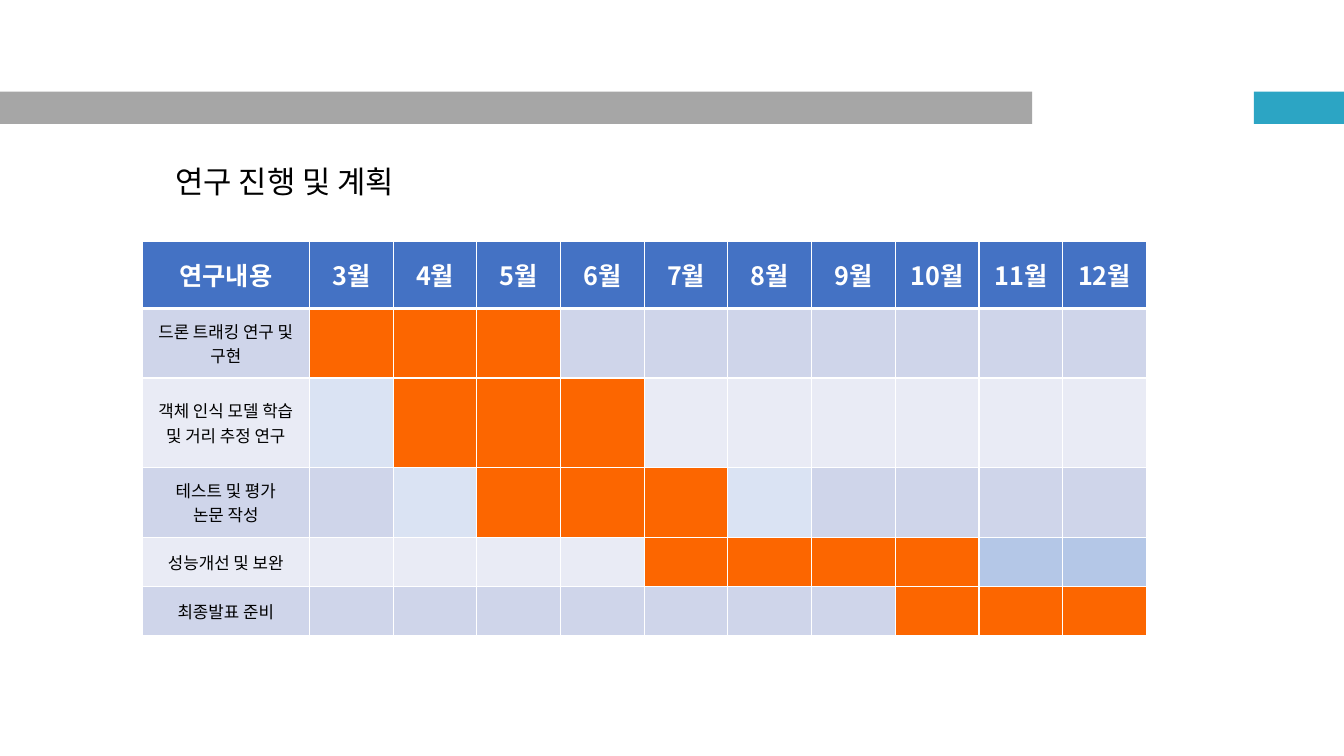
from lxml import etree
from pptx import Presentation, util as u
from pptx.dml.color import RGBColor
from pptx.enum import shapes, text
from pptx.oxml.ns import qn

FONT = "Noto Sans CJK KR"
WHITE = RGBColor(0xFF, 0xFF, 0xFF)
BLACK = RGBColor(0x00, 0x00, 0x00)
GRAY = RGBColor(0xA6, 0xA6, 0xA6)
TEAL = RGBColor(0x2C, 0xA5, 0xC4)
HEADER_BLUE = RGBColor(0x44, 0x72, 0xC4)
ACTIVE = RGBColor(0xFC, 0x66, 0x00)
BANDS = RGBColor(0xCF, 0xD5, 0xEA), RGBColor(0xE9, 0xEB, 0xF5)
PALE = RGBColor(0xDA, 0xE3, 0xF3)
SOFT_BLUE = RGBColor(0xB4, 0xC7, 0xE7)

SLIDE_W, SLIDE_H = u.Inches(13.33), u.Inches(7.5)
BAR_TOP, BAR_H = 0.1213, 0.0427  # shares of the slide height
MONTH_W = 0.83
TASK_W = 2 * MONTH_W
ROW_HEIGHTS = 0.67, 0.69, 0.89, 0.69, 0.49, 0.49

MONTHS = range(3, 13)
# task, first month, last month, months with their own tint
TASKS = [
    ("드론 트래킹 연구 및 구현", 3, 5, {}),
    ("객체 인식 모델 학습 및 거리 추정 연구", 4, 6, {3: PALE}),
    ("테스트 및 평가\v논문 작성", 5, 7, {4: PALE, 8: PALE}),
    ("성능개선 및 보완", 7, 10, {11: SOFT_BLUE, 12: SOFT_BLUE}),
    ("최종발표 준비", 10, 12, {}),
]


def style_paragraph(paragraph, size, color, bold=False):
    """Centre the paragraph and set its Latin and East Asian font."""
    paragraph.alignment = text.PP_ALIGN.CENTER
    font = paragraph.font
    font.size, font.bold, font.name = u.Pt(size), bold, FONT
    font.color.rgb = color
    defaults = paragraph._p.pPr.find(qn("a:defRPr"))
    etree.SubElement(defaults, qn("a:ea"), typeface=FONT)


def add_bar(slide, left, width, color):
    """Add a header bar; left and width are shares of the slide width."""
    bar = slide.shapes.add_shape(
        shapes.MSO_SHAPE.RECTANGLE, int(SLIDE_W * left), int(SLIDE_H * BAR_TOP),
        int(SLIDE_W * width), int(SLIDE_H * BAR_H))
    bar.shadow.inherit = False
    bar.fill.solid()
    bar.fill.fore_color.rgb = color
    bar.line.fill.background()


def set_title(slide, wording):
    title = slide.shapes.title
    title.left, title.top = u.Inches(0.72), u.Inches(1.56)
    title.width, title.height = u.Inches(4.21), u.Inches(0.47)
    frame = title.text_frame
    frame.text = wording
    frame.word_wrap = True
    frame.auto_size = text.MSO_AUTO_SIZE.SHAPE_TO_FIT_TEXT
    frame.vertical_anchor = text.MSO_ANCHOR.TOP
    style_paragraph(frame.paragraphs[0], 22, BLACK)


def paint_cell(cell, color, bottom_width=1):
    """Give the cell white borders and a solid fill."""
    properties = cell._tc.get_or_add_tcPr()
    for side, width in zip("LRTB", (1, 1, 1, bottom_width)):
        line = etree.SubElement(properties, qn(f"a:ln{side}"), w=str(u.Pt(width)))
        fill = etree.SubElement(line, qn("a:solidFill"))
        etree.SubElement(fill, qn("a:srgbClr"), val=str(WHITE))
    cell.fill.solid()
    cell.fill.fore_color.rgb = color


def label_cell(cell, wording, size, color, bold=False):
    cell.text = wording
    cell.vertical_anchor = text.MSO_ANCHOR.MIDDLE
    style_paragraph(cell.text_frame.paragraphs[0], size, color, bold)


def add_schedule(slide):
    schedule = slide.shapes.add_table(
        len(TASKS) + 1, len(MONTHS) + 1, u.Inches(1.41), u.Inches(2.39),
        u.Inches(TASK_W + MONTH_W * len(MONTHS)), u.Inches(sum(ROW_HEIGHTS))).table
    for index, column in enumerate(schedule.columns):
        column.width = u.Inches(MONTH_W if index else TASK_W)
    for row, height in zip(schedule.rows, ROW_HEIGHTS):
        row.height = u.Inches(height)

    headings = ["연구내용"] + [f"{month}월" for month in MONTHS]
    for column, heading in enumerate(headings):
        cell = schedule.cell(0, column)
        paint_cell(cell, HEADER_BLUE, bottom_width=3)
        label_cell(cell, heading, 18, WHITE, bold=True)

    for row, (task, first, last, tints) in enumerate(TASKS, start=1):
        band = BANDS[(row - 1) % 2]
        task_cell = schedule.cell(row, 0)
        paint_cell(task_cell, band)
        label_cell(task_cell, task, 12, BLACK)
        for column, month in enumerate(MONTHS, start=1):
            color = ACTIVE if first <= month <= last else tints.get(month, band)
            paint_cell(schedule.cell(row, column), color)


def main():
    deck = Presentation()
    deck.slide_width, deck.slide_height = SLIDE_W, SLIDE_H
    slide = deck.slides.add_slide(deck.slide_layouts[5])
    add_bar(slide, 0, 0.768, GRAY)
    add_bar(slide, 0.933, 0.067, TEAL)
    set_title(slide, "연구 진행 및 계획")
    add_schedule(slide)
    deck.save("out.pptx")


if __name__ == "__main__":
    main()
